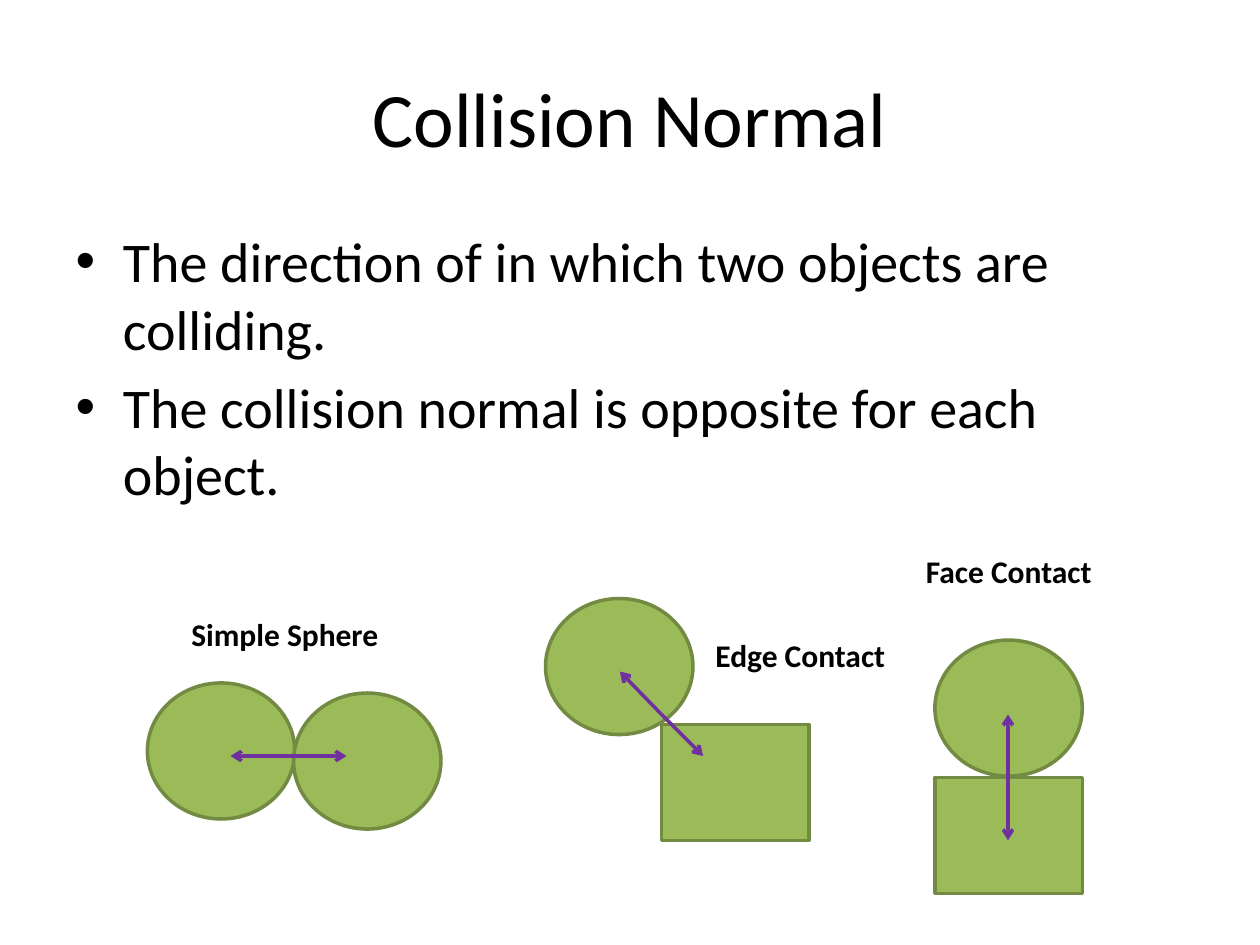
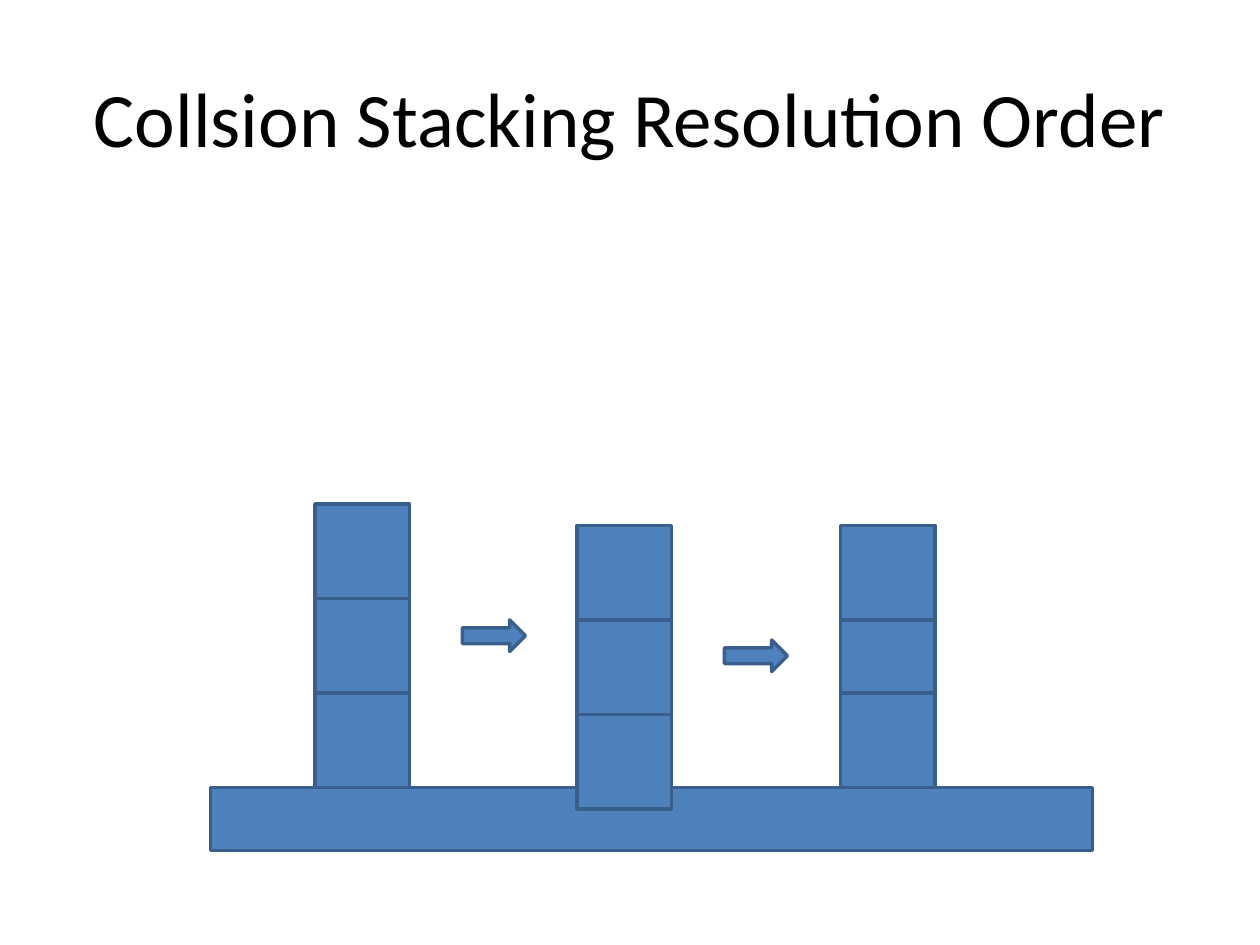
"""Build two slides on collision normals and stacking resolution order."""
from dataclasses import dataclass

from lxml import etree
from pptx import Presentation
from pptx.dml.color import RGBColor
from pptx.enum.shapes import MSO_CONNECTOR, MSO_SHAPE
from pptx.enum.text import MSO_ANCHOR, MSO_AUTO_SIZE, PP_ALIGN
from pptx.oxml.ns import qn
from pptx.slide import Slide
from pptx.util import Inches, Pt

OVAL = MSO_SHAPE.OVAL
RECTANGLE = MSO_SHAPE.RECTANGLE
RIGHT_ARROW = MSO_SHAPE.RIGHT_ARROW
STRAIGHT = MSO_CONNECTOR.STRAIGHT
CENTER = PP_ALIGN.CENTER
MIDDLE = MSO_ANCHOR.MIDDLE
FIT_SHAPE = MSO_AUTO_SIZE.SHAPE_TO_FIT_TEXT

FONT = "Calibri"
BLACK = "000000"
PURPLE = "7030A0"
LINE_WIDTH = 2
TITLE_AND_CONTENT = 1
TITLE_ONLY = 5
BODY_SIZE = (1.17, 1.08)
BOX_SIZE = (1.17, 0.92)
BLOCK_SIZE = (0.75, 0.75)
ARROW_SIZE = (0.5, 0.25)


@dataclass(frozen=True)
class Style:
    fill: str
    line: str


@dataclass(frozen=True)
class Figure:
    kind: MSO_SHAPE
    left: float
    top: float
    size: tuple[float, float]


@dataclass(frozen=True)
class Normal:
    start: tuple[float, float]
    ends: tuple[tuple[float, float], ...]


@dataclass(frozen=True)
class Label:
    text: str
    left: float
    top: float
    width: float


@dataclass(frozen=True)
class Stack:
    left: float
    tops: tuple[float, float, float]


GREEN = Style("9BBB59", "738A42")
BLUE = Style("4F81BD", "3A5F8C")

BULLETS = (
    "The direction of in which two objects are colliding.",
    "The collision normal is opposite for each object.",
)
COLLIDERS = (
    Figure(OVAL, 1.17, 5.42, BODY_SIZE),
    Figure(OVAL, 2.33, 5.5, BODY_SIZE),
    Figure(RECTANGLE, 5.25, 5.75, BOX_SIZE),
    Figure(OVAL, 4.33, 4.75, BODY_SIZE),
    Figure(RECTANGLE, 7.42, 6.17, BOX_SIZE),
    Figure(OVAL, 7.42, 5.08, BODY_SIZE),
)
NORMALS = (
    Normal((2.33, 6), ((2.75, 6), (1.83, 6))),
    Normal((5.25, 5.67), ((5.58, 6), (4.92, 5.33))),
    Normal((8, 6.17), ((8, 6.67), (8, 5.67))),
)
LABELS = (
    Label("Simple Sphere", 1.42, 4.83, 1.7),
    Label("Edge Contact", 5.58, 5, 1.56),
    Label("Face Contact", 7.25, 4.33, 1.53),
)
GROUND = Figure(RECTANGLE, 1.67, 6.25, (7, 0.5))
STACKS = (
    Stack(2.5, (4, 4.75, 5.5)),
    Stack(4.58, (4.17, 4.92, 5.67)),
    Stack(6.67, (4.17, 4.92, 5.5)),
)
STEP_ARROWS = (
    Figure(RIGHT_ARROW, 3.67, 4.92, ARROW_SIZE),
    Figure(RIGHT_ARROW, 5.75, 5.08, ARROW_SIZE),
)


def color(value: str) -> RGBColor:
    return RGBColor.from_string(value)


def format_paragraph(paragraph, size: float, bold: bool = False) -> None:
    font = paragraph.font
    font.name = FONT
    font.size = Pt(size)
    font.bold = bold
    font.color.rgb = color(BLACK)


def place(shape, left: float, top: float, width: float, height: float) -> None:
    shape.left, shape.top = Inches(left), Inches(top)
    shape.width, shape.height = Inches(width), Inches(height)


def add_titled_slide(presentation, layout: int, title: str) -> Slide:
    slide = presentation.slides.add_slide(presentation.slide_layouts[layout])
    shape = slide.shapes.title
    place(shape, 0.5, 0.3, 9, 1.25)
    shape.text_frame.text = title
    shape.text_frame.vertical_anchor = MIDDLE
    paragraph = shape.text_frame.paragraphs[0]
    paragraph.alignment = CENTER
    format_paragraph(paragraph, 44)
    return slide


def fill_body(slide: Slide, bullets: tuple[str, ...]) -> None:
    body = slide.placeholders[1]
    place(body, 0.5, 1.75, 9, 4.95)
    body.text_frame.text = "\n".join(bullets)
    for paragraph in body.text_frame.paragraphs:
        format_paragraph(paragraph, 32)


def add_figure(slide: Slide, figure: Figure, style: Style) -> None:
    shape = slide.shapes.add_shape(
        figure.kind, Inches(figure.left), Inches(figure.top), *map(Inches, figure.size)
    )
    shape.shadow.inherit = False
    shape.fill.solid()
    shape.fill.fore_color.rgb = color(style.fill)
    shape.line.color.rgb = color(style.line)
    shape.line.width = Pt(LINE_WIDTH)


def add_normal(slide: Slide, normal: Normal) -> None:
    for end in normal.ends:
        connector = slide.shapes.add_connector(
            STRAIGHT, *map(Inches, normal.start + end)
        )
        connector.line.color.rgb = color(PURPLE)
        connector.line.width = Pt(LINE_WIDTH)
        properties = connector.element.spPr
        outline = properties.find(qn("a:ln"))
        etree.SubElement(outline, qn("a:tailEnd"), type="arrow")
        etree.SubElement(properties, qn("a:effectLst"))


def add_label(slide: Slide, label: Label) -> None:
    box = slide.shapes.add_textbox(
        *map(Inches, (label.left, label.top, label.width, 0.4))
    )
    box.text_frame.word_wrap = False
    box.text_frame.auto_size = FIT_SHAPE
    box.text_frame.text = label.text
    format_paragraph(box.text_frame.paragraphs[0], 18, bold=True)


def build_normal_slide(presentation) -> None:
    slide = add_titled_slide(presentation, TITLE_AND_CONTENT, "Collision Normal")
    fill_body(slide, BULLETS)
    for collider in COLLIDERS:
        add_figure(slide, collider, GREEN)
    for normal in NORMALS:
        add_normal(slide, normal)
    for label in LABELS:
        add_label(slide, label)


def build_stacking_slide(presentation) -> None:
    slide = add_titled_slide(
        presentation, TITLE_ONLY, "Collsion Stacking Resolution Order"
    )
    add_figure(slide, GROUND, BLUE)
    for stack in STACKS:
        for top in stack.tops:
            add_figure(slide, Figure(RECTANGLE, stack.left, top, BLOCK_SIZE), BLUE)
    for arrow in STEP_ARROWS:
        add_figure(slide, arrow, BLUE)


def main() -> None:
    presentation = Presentation()
    presentation.slide_width = Inches(10)
    presentation.slide_height = Inches(7.5)
    build_normal_slide(presentation)
    build_stacking_slide(presentation)
    presentation.save("out.pptx")


main()
